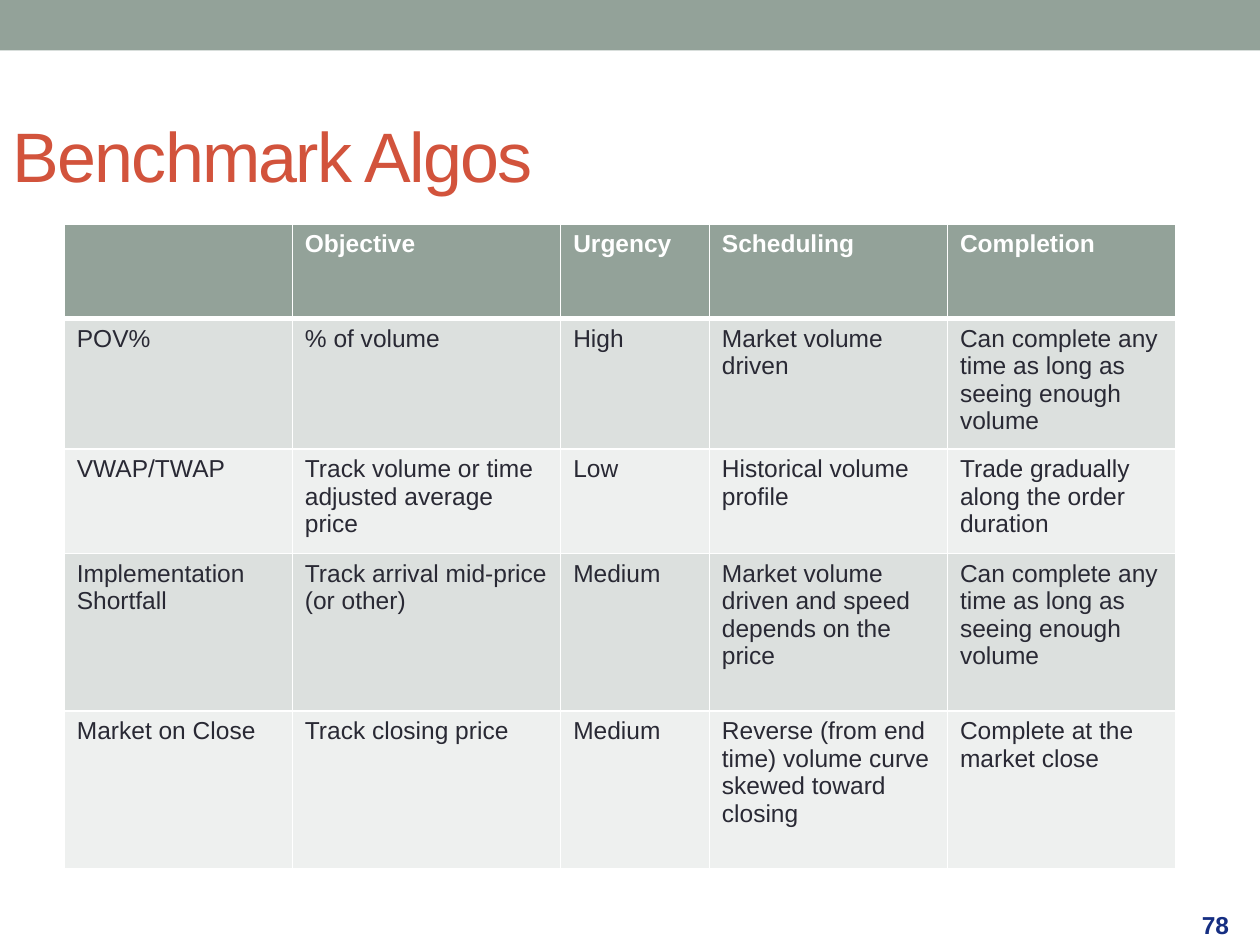
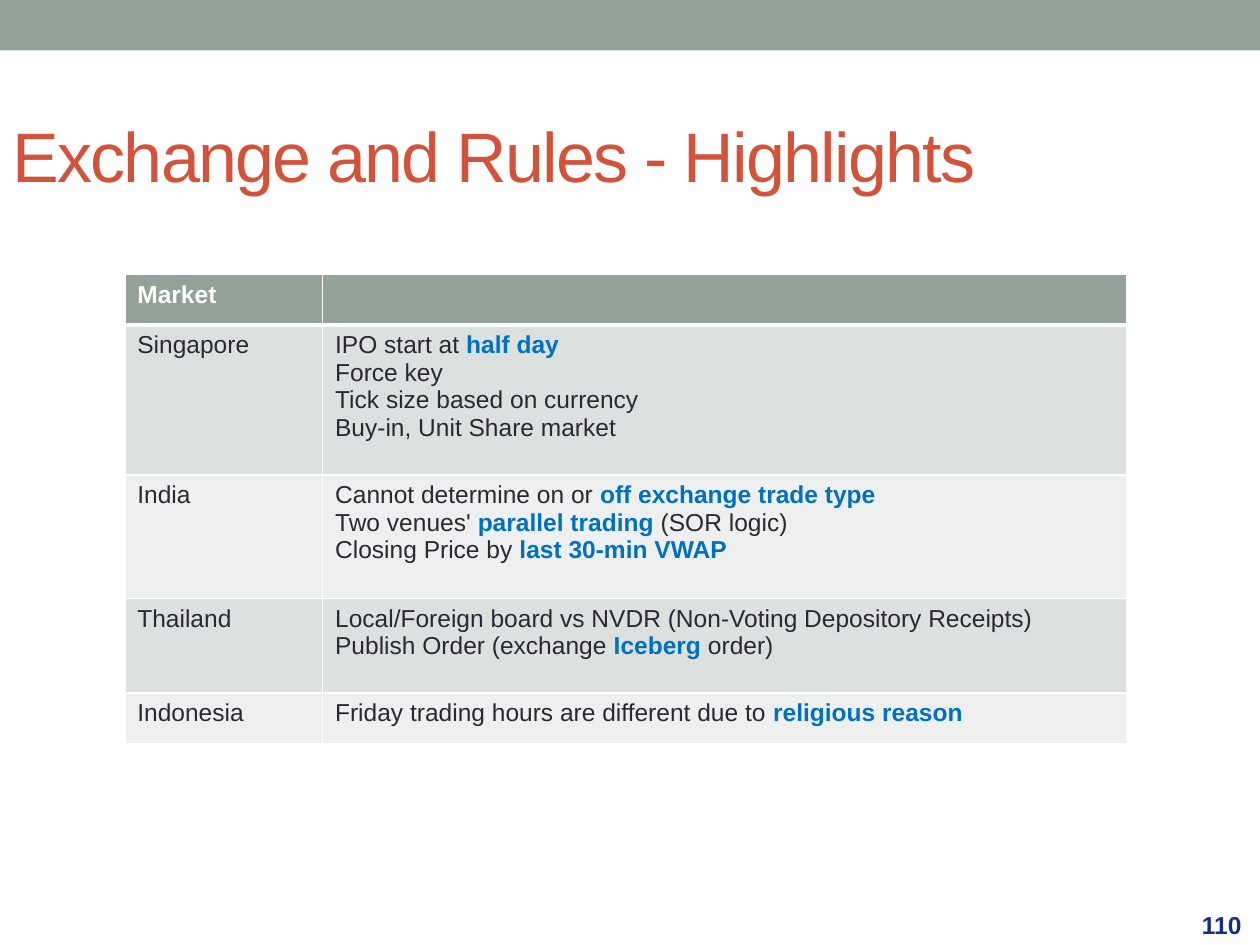
from lxml import etree
from pptx import Presentation
from pptx.dml.color import RGBColor
from pptx.enum.shapes import MSO_SHAPE
from pptx.enum.text import MSO_ANCHOR, MSO_AUTO_SIZE, PP_ALIGN
from pptx.oxml.ns import qn
from pptx.util import Inches, Pt

RECT = MSO_SHAPE.RECTANGLE
MIDDLE = MSO_ANCHOR.MIDDLE
LEFT = PP_ALIGN.LEFT
NO_AUTOFIT = MSO_AUTO_SIZE.NONE

FONT = "Arial"
SAGE = RGBColor(0x93, 0xA2, 0x99)
RUST = RGBColor(0xD2, 0x53, 0x3C)
NAVY = RGBColor(0x15, 0x2E, 0x82)
INK = RGBColor(0x29, 0x29, 0x34)
BLUE = RGBColor(0x00, 0x70, 0xC0)
WHITE = RGBColor(0xFF, 0xFF, 0xFF)
ROW_FILLS = [RGBColor(0xDC, 0xE0, 0xDE), RGBColor(0xEE, 0xF0, 0xEF)]

# Slide content: one list per table row, a line break starts a new
# paragraph, and *asterisks* mark highlighted words
SLIDES = [
    {
        "title": "Benchmark Algos",
        "number": "78",
        "origin": (0.51, 1.78),
        "cols": [1.81, 2.13, 1.18, 1.89, 1.81],
        "heights": [0.75, 1.01, 0.83, 1.25, 1.25],
        "rows": [
            ["", "Objective", "Urgency", "Scheduling", "Completion"],
            ["POV%", "% of volume", "High", "Market volume driven",
             "Can complete any time as long as seeing enough volume"],
            ["VWAP/TWAP", "Track volume or time adjusted average price", "Low",
             "Historical volume profile",
             "Trade gradually along the order duration"],
            ["Implementation Shortfall", "Track arrival mid-price (or other)",
             "Medium", "Market volume driven and speed depends on the price",
             "Can complete any time as long as seeing enough volume"],
            ["Market on Close", "Track closing price", "Medium",
             "Reverse (from end time) volume curve skewed toward closing",
             "Complete at the market close"],
        ],
    },
    {
        "title": "Exchange and Rules - Highlights",
        "number": "110",
        "origin": (0.99, 2.18),
        "cols": [1.57, 6.38],
        "heights": [0.4, 1.19, 0.98, 0.75, 0.4],
        "rows": [
            ["Market", ""],
            ["Singapore", "IPO start at *half day*\nForce key\n"
             "Tick size based on currency\nBuy-in, Unit Share market"],
            ["India", "Cannot determine on or *off exchange trade type*\n"
             "Two venues' *parallel trading *(SOR logic)\n"
             "Closing Price by *last 30-min VWAP*"],
            ["Thailand",
             "Local/Foreign board vs NVDR (Non-Voting Depository Receipts)\n"
             "Publish Order (exchange *Iceberg* order)"],
            ["Indonesia",
             "Friday trading hours are different due to *religious reason*"],
        ],
    },
]


def set_font(font, size, color, bold=False):
    font.name = FONT
    font.size = Pt(size)
    font.color.rgb = color
    font.bold = bold


def set_borders(cell, top, bottom):
    tc_pr = cell._tc.get_or_add_tcPr()
    for side, width in (("L", 1), ("R", 1), ("T", top), ("B", bottom)):
        ln = etree.SubElement(tc_pr, qn(f"a:ln{side}"), w=str(Pt(width)))
        fill = etree.SubElement(ln, qn("a:solidFill"))
        etree.SubElement(fill, qn("a:srgbClr"), val=str(WHITE))


prs = Presentation()
prs.slide_width = Inches(10)
prs.slide_height = Inches(7.5)
title_only = prs.slide_layouts[5]

for content in SLIDES:
    s = prs.slides.add_slide(title_only)

    # Top band
    band = s.shapes.add_shape(RECT, 0, 0, prs.slide_width, Inches(0.4))
    band.shadow.inherit = False
    band.fill.solid()
    band.fill.fore_color.rgb = SAGE
    band.line.fill.background()

    # Slide number
    sp = s.shapes.add_textbox(Inches(9.44), Inches(7.14), Inches(0.55), Inches(0.39))
    tf = sp.text_frame
    tf.vertical_anchor = MIDDLE
    p = tf.paragraphs[0]
    p.text = content["number"]
    set_font(p.font, 14, NAVY, bold=True)

    # Title
    title = s.shapes.title
    title.left, title.top = Inches(0), Inches(0.68)
    title.width, title.height = Inches(8.83), Inches(1.09)
    tf = title.text_frame
    tf.auto_size = NO_AUTOFIT
    tf.vertical_anchor = MIDDLE
    p = tf.paragraphs[0]
    p.alignment = LEFT
    r = p.add_run()
    r.text = content["title"]
    set_font(r.font, 40, RUST)
    r.font._element.set("spc", "-100")

    # Table
    cols, heights, rows = content["cols"], content["heights"], content["rows"]
    left, top = content["origin"]
    table = s.shapes.add_table(
        len(rows), len(cols), Inches(left), Inches(top),
        Inches(sum(cols)), Inches(sum(heights))).table
    for column, width in zip(table.columns, cols):
        column.width = Inches(width)
    for i, texts in enumerate(rows):
        table.rows[i].height = Inches(heights[i])
        header = i == 0
        for j, text in enumerate(texts):
            cell = table.cell(i, j)
            set_borders(cell, top=3 if i == 1 else 1, bottom=3 if header else 1)
            cell.fill.solid()
            cell.fill.fore_color.rgb = SAGE if header else ROW_FILLS[(i - 1) % 2]
            tf = cell.text_frame
            for k, line in enumerate(text.split("\n")):
                p = tf.add_paragraph() if k else tf.paragraphs[0]
                set_font(p.font, 14, WHITE if header else INK, bold=header)
                for n, part in enumerate(line.split("*")):
                    if part:
                        r = p.add_run()
                        r.text = part
                        if n % 2:
                            r.font.bold = True
                            r.font.color.rgb = BLUE

prs.save("out.pptx")
